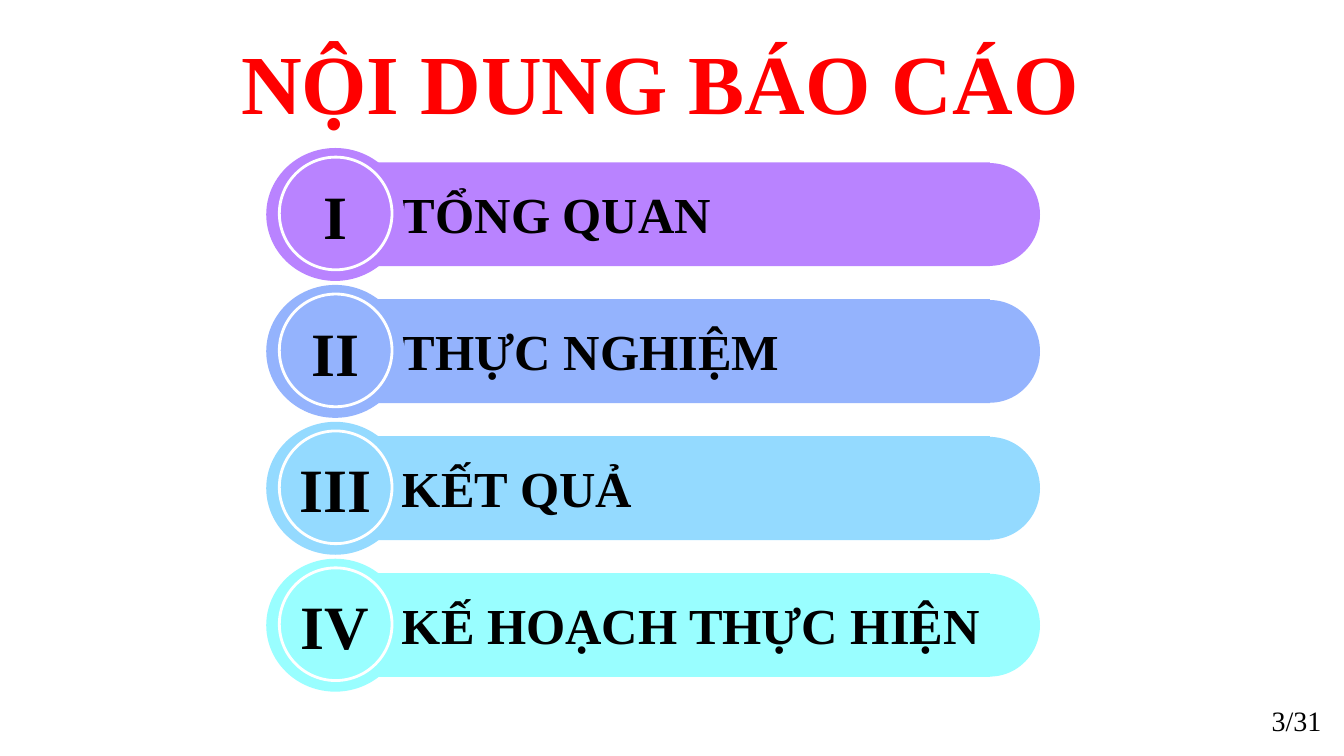
from dataclasses import dataclass

from pptx import Presentation
from pptx.dml.color import RGBColor
from pptx.enum.shapes import MSO_SHAPE
from pptx.enum.text import MSO_ANCHOR, PP_ALIGN
from pptx.util import Cm, Pt

RECTANGLE = MSO_SHAPE.RECTANGLE
OVAL = MSO_SHAPE.OVAL
TOP, MIDDLE, BOTTOM = MSO_ANCHOR.TOP, MSO_ANCHOR.MIDDLE, MSO_ANCHOR.BOTTOM
LEFT, CENTER, RIGHT = PP_ALIGN.LEFT, PP_ALIGN.CENTER, PP_ALIGN.RIGHT


@dataclass(frozen=True)
class Theme:
    font: str = "Times New Roman"
    title: str = "FF0000"
    text: str = "000000"
    ring: str = "FFFFFF"
    sections: tuple = ("B983FF", "94B3FD", "94DAFF", "99FEFF")
    title_size: int = 60
    numeral_size: int = 44
    label_size: int = 36
    page_size: int = 20


theme = Theme()


def add_plain_shape(parent, kind, left, top, width, height, color=None):
    shape = parent.shapes.add_shape(kind, Cm(left), Cm(top), Cm(width), Cm(height))
    shape.shadow.inherit = False
    shape.line.fill.background()
    if color:
        shape.fill.solid()
        shape.fill.fore_color.rgb = RGBColor.from_string(color)
    else:
        shape.fill.background()
    return shape


def write_text(shape, text, size, align, anchor, bold=True, color=theme.text):
    frame = shape.text_frame
    frame.word_wrap = True
    frame.vertical_anchor = anchor
    paragraph = frame.paragraphs[0]
    paragraph.text = text
    paragraph.alignment = align
    paragraph.font.name = theme.font
    paragraph.font.size = Pt(size)
    paragraph.font.bold = bold
    paragraph.font.color.rgb = RGBColor.from_string(color)
    return paragraph


prs = Presentation()
prs.slide_width = Cm(33.87)
prs.slide_height = Cm(19.05)
slide = prs.slides.add_slide(prs.slide_layouts[6])

title = slide.shapes.add_textbox(Cm(2.24), Cm(0.64), Cm(28.78), Cm(2.82))
heading = write_text(title, "NỘI DUNG BÁO CÁO", theme.title_size, CENTER, BOTTOM,
                     color=theme.title)
heading.line_spacing = 0.9

sections = (
    ("I", "TỔNG QUAN"),
    ("II", "THỰC NGHIỆM"),
    ("III", "KẾT QUẢ"),
    ("IV", "KẾ HOẠCH THỰC HIỆN"),
)
first_top = 4.09
pitch = 3.45

for index, ((numeral, name), color) in enumerate(zip(sections, theme.sections)):
    top = first_top + index * pitch
    section = slide.shapes.add_group_shape()

    add_plain_shape(section, RECTANGLE, 8.92, top, 16.03, 2.62, color)
    add_plain_shape(section, OVAL, 23.67, top + 0.02, 2.54, 2.59, color)

    label = section.shapes.add_textbox(Cm(8.92), Cm(top + 0.41), Cm(17.5), Cm(1.8))
    label.text_frame.margin_left = Cm(1.21)
    write_text(label, name, theme.label_size, LEFT, TOP)

    disc = add_plain_shape(section, OVAL, 6.71, top - 0.36, 3.48, 3.35, color)
    write_text(disc, numeral, theme.numeral_size, CENTER, MIDDLE)

    ring = add_plain_shape(section, OVAL, 7.04, top - 0.13, 2.84, 2.84)
    ring.line.color.rgb = RGBColor.from_string(theme.ring)
    ring.line.width = Pt(2)

page = slide.shapes.add_textbox(Cm(25.65), Cm(17.65), Cm(7.9), Cm(1.02))
write_text(page, "3/31", theme.page_size, RIGHT, MIDDLE, bold=False)

prs.save("out.pptx")
